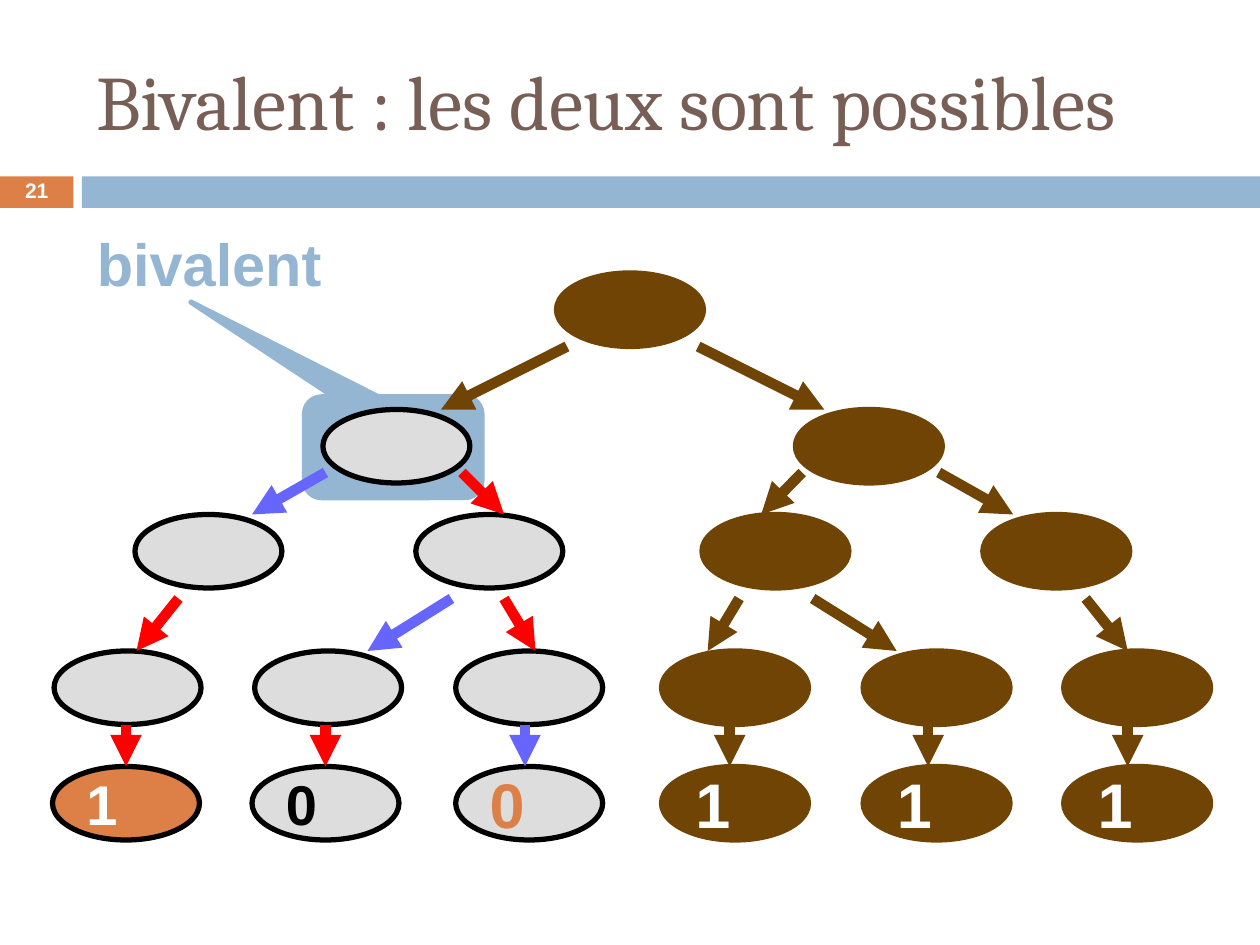
from lxml.etree import SubElement
from pptx import Presentation
from pptx.dml.color import RGBColor
from pptx.enum.shapes import MSO_CONNECTOR, MSO_SHAPE
from pptx.enum.text import MSO_ANCHOR, PP_ALIGN
from pptx.oxml.ns import qn
from pptx.util import Inches, Pt

BROWN = RGBColor(0x70, 0x44, 0x04)
GREY = RGBColor(0xDD, 0xDD, 0xDD)
BLACK = RGBColor(0x00, 0x00, 0x00)
WHITE = RGBColor(0xFF, 0xFF, 0xFF)
ORANGE = RGBColor(0xDD, 0x80, 0x47)
SKY = RGBColor(0x94, 0xB6, 0xD2)
TAUPE = RGBColor(0x77, 0x5F, 0x55)
RED = RGBColor(0xFF, 0x00, 0x00)
BLUE = RGBColor(0x66, 0x66, 0xFF)

# The slide is a grid of 120 columns by 90 rows.
CELL = Inches(10) / 120
NODE_WIDTH, NODE_HEIGHT = 14, 7

# Node row, then the left columns of the grey and of the brown nodes
NODE_LEVELS = [
    (26, [], [53]),
    (39, [30.75], [75.75]),
    (49, [12.85, 39.6], [66.85, 93.6]),
    (62, [5.15, 24.25, 43.4], [63, 82.2, 101.3]),
]
LEAF_ROW = 73
# Left column, fill, outline, digit, digit size, digit colour
LEAVES = [
    (5, ORANGE, BLACK, "1", 32, WHITE),
    (24, GREY, BLACK, "0", 32, BLACK),
    (43.4, GREY, BLACK, "0", 36, ORANGE),
    (63, BROWN, BROWN, "1", 36, WHITE),
    (82.2, BROWN, BROWN, "1", 36, WHITE),
    (101.3, BROWN, BROWN, "1", 36, WHITE),
]
# Start row, end row, then start column, end column and colour of each arrow
ARROW_LEVELS = [
    (33, 39, [(54, 42, BROWN), (66.5, 78.5, BROWN)]),
    (45, 49, [(31, 24, BLUE), (44, 48, RED),
              (76.4, 72.5, BROWN), (89.4, 96.5, BROWN)]),
    (57, 62, [(17, 13, RED), (43, 35, BLUE), (48, 51, RED),
              (70.4, 67.4, BROWN), (77.4, 85.4, BROWN), (103.4, 107.4, BROWN)]),
    (69, 73, [(12, 12, RED), (31, 31, RED), (50, 50, BLUE),
              (69.5, 69.5, BROWN), (88.4, 88.4, BROWN), (107.4, 107.4, BROWN)]),
]


def grid(*counts):
    """Turn column or row counts into slide lengths."""
    return [round(count * CELL) for count in counts]


def write(shape, text, size, color, font="Arial", bold=True,
          align=PP_ALIGN.LEFT, anchor=MSO_ANCHOR.MIDDLE):
    frame = shape.text_frame
    frame.text = text
    frame.word_wrap = True
    frame.vertical_anchor = anchor
    paragraph = frame.paragraphs[0]
    paragraph.alignment = align
    run_font = paragraph.runs[0].font
    run_font.name, run_font.size, run_font.bold = font, Pt(size), bold
    run_font.color.rgb = color
    return paragraph


def add_text(slide, box, *args, **kwargs):
    return write(slide.shapes.add_textbox(*grid(*box)), *args, **kwargs)


def add_block(slide, kind, box, fill, outline=None):
    shape = slide.shapes.add_shape(kind, *grid(*box))
    shape.shadow.inherit = False
    shape.fill.solid()
    shape.fill.fore_color.rgb = fill
    if outline is None:
        shape.line.fill.background()
    else:
        shape.line.color.rgb = outline
        shape.line.width = Pt(3)
    return shape


def add_node(slide, column, row, fill, outline):
    box = (column, row, NODE_WIDTH, NODE_HEIGHT)
    return add_block(slide, MSO_SHAPE.OVAL, box, fill, outline)


def add_arrow(slide, start, end, color):
    arrow = slide.shapes.add_connector(MSO_CONNECTOR.STRAIGHT, *grid(*start, *end))
    arrow.line.color.rgb = color
    arrow.line.width = Pt(6)
    SubElement(arrow.line._get_or_add_ln(), qn("a:tailEnd"), type="triangle")
    SubElement(arrow._element.spPr, qn("a:effectLst"))


def add_header(slide):
    add_block(slide, MSO_SHAPE.RECTANGLE, (0, 16.8, 7, 3), ORANGE)
    add_block(slide, MSO_SHAPE.RECTANGLE, (7.8, 16.8, 112.2, 3), SKY)
    add_text(slide, (8, 3, 107, 13), "Bivalent : les deux sont possibles",
             44, TAUPE, font="Cambria", bold=False)
    number = add_text(slide, (0, 16.7, 7, 3.2), "21", 12, WHITE,
                      align=PP_ALIGN.CENTER)
    number.line_spacing = 0.8


def add_callout(slide):
    callout = add_block(slide, MSO_SHAPE.ROUNDED_RECTANGULAR_CALLOUT,
                        (29, 37.8, 16.9, 9.6), SKY, SKY)
    for index, value in enumerate((-1.14, -1.44, 0.17)):
        callout.adjustments[index] = value
    add_text(slide, (7, 21, 24.8, 8), "bivalent", 34, SKY,
             align=PP_ALIGN.RIGHT, anchor=MSO_ANCHOR.TOP)


def add_tree(slide):
    for row, grey_columns, brown_columns in NODE_LEVELS:
        for column in grey_columns:
            add_node(slide, column, row, GREY, BLACK)
        for column in brown_columns:
            add_node(slide, column, row, BROWN, BROWN)
    for column, fill, outline, digit, size, color in LEAVES:
        leaf = add_node(slide, column, LEAF_ROW, fill, outline)
        write(leaf, digit, size, color)
    for start_row, end_row, arrows in ARROW_LEVELS:
        for start_column, end_column, color in arrows:
            add_arrow(slide, (start_column, start_row), (end_column, end_row), color)


def main():
    presentation = Presentation()
    presentation.slide_width, presentation.slide_height = Inches(10), Inches(7.5)
    slide = presentation.slides.add_slide(presentation.slide_layouts[6])
    add_header(slide)
    add_callout(slide)
    add_tree(slide)
    presentation.save("out.pptx")


if __name__ == "__main__":
    main()
